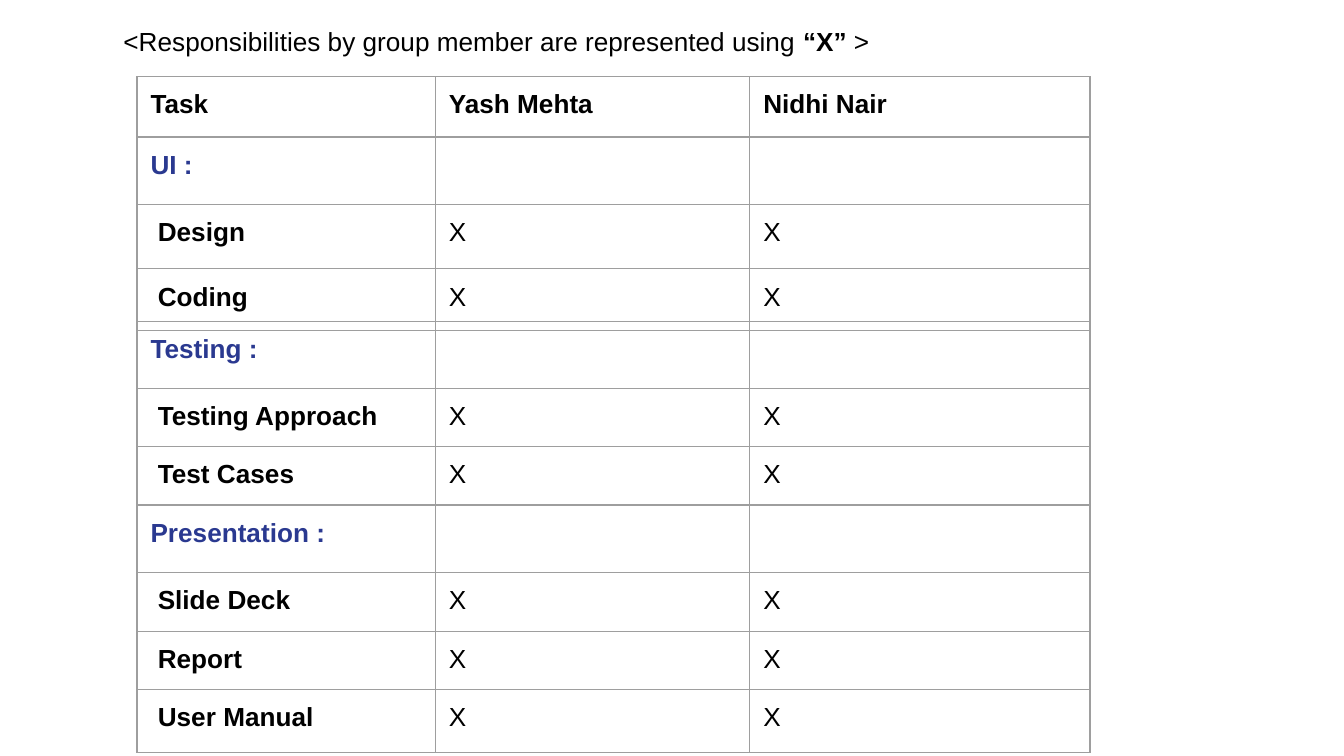
import pptx
import pptx.util
import pptx.dml.color
import pptx.oxml
import pptx.oxml.ns

Inches = pptx.util.Inches
THEME = {"font": "Arial", "size": 14, "empty_size": 18, "text": "000000",
         "section": "2A3990", "border": "9E9E9E", "border_pt": 0.75, "inset": 0.1}
NS = pptx.oxml.ns.nsdecls("a")
COLS = [2.22, 2.34, 2.53]
TABLES = [
    (0.57, [
        (0.45, ["Task", "Yash Mehta", "Nidhi Nair"]),
        (0.37, ["UI :", "", ""]),
        (0.48, [" Design", "X", "X"]),
        (0.46, [" Coding", "X", "X"]),
    ]),
    (2.39, [
        (0.42, ["Testing :", "", ""]),
        (0.43, [" Testing Approach", "X", "X"]),
        (0.42, [" Test Cases", "X", "X"]),
        (0.42, ["Presentation :", "", ""]),
        (0.44, [" Slide Deck", "X", "X"]),
        (0.43, [" Report", "X", "X"]),
        (0.47, [" User Manual", "X", "X"]),
    ]),
]


def add_text(p, text, color=THEME["text"], bold=False):
    if not text:
        p._p.append(pptx.oxml.parse_xml(
            f'<a:endParaRPr {NS} sz="{THEME["empty_size"] * 100}">'
            f'<a:latin typeface="{THEME["font"]}"/></a:endParaRPr>'))
        return
    r = p.add_run()
    r.text = text
    r.font.name = THEME["font"]
    r.font.size = pptx.util.Pt(THEME["size"])
    r.font.bold = bold
    r.font.color.rgb = pptx.dml.color.RGBColor.from_string(color)


def add_borders(cell):
    tc_pr = cell._tc.get_or_add_tcPr()
    width = int(pptx.util.Pt(THEME["border_pt"]))
    for side in ("lnL", "lnR", "lnT", "lnB"):
        tc_pr.append(pptx.oxml.parse_xml(
            f'<a:{side} {NS} w="{width}"><a:solidFill>'
            f'<a:srgbClr val="{THEME["border"]}"/></a:solidFill></a:{side}>'))


prs = pptx.Presentation()
prs.slide_width = Inches(10)
prs.slide_height = prs.slide_width * 9 // 16
s = prs.slides.add_slide(prs.slide_layouts[6])
inset = Inches(THEME["inset"])

sp = s.shapes.add_textbox(Inches(0.82), Inches(0.09), Inches(6.42), Inches(0.48))
tf = sp.text_frame
tf.word_wrap = True
tf.margin_left = tf.margin_right = tf.margin_top = tf.margin_bottom = inset
p = tf.paragraphs[0]
add_text(p, "<Responsibilities by group member are represented using ")
add_text(p, "“X” ", bold=True)
add_text(p, ">")

for top, rows in TABLES:
    height = sum(h for h, _ in rows)
    table = s.shapes.add_table(len(rows), len(COLS), Inches(1.02), Inches(top),
                               Inches(sum(COLS)), Inches(height)).table
    table.first_row = table.horz_banding = False
    for col, width in zip(table.columns, COLS):
        col.width = Inches(width)
    for row, (row_height, texts) in zip(table.rows, rows):
        row.height = Inches(row_height)
        for cell, text in zip(row.cells, texts):
            cell.margin_left = cell.margin_right = inset
            cell.margin_top = cell.margin_bottom = inset
            add_borders(cell)
            cell.fill.background()
            color = THEME["section"] if text.endswith(":") else THEME["text"]
            add_text(cell.text_frame.paragraphs[0], text, color=color, bold=text != "X")

prs.save("out.pptx")
